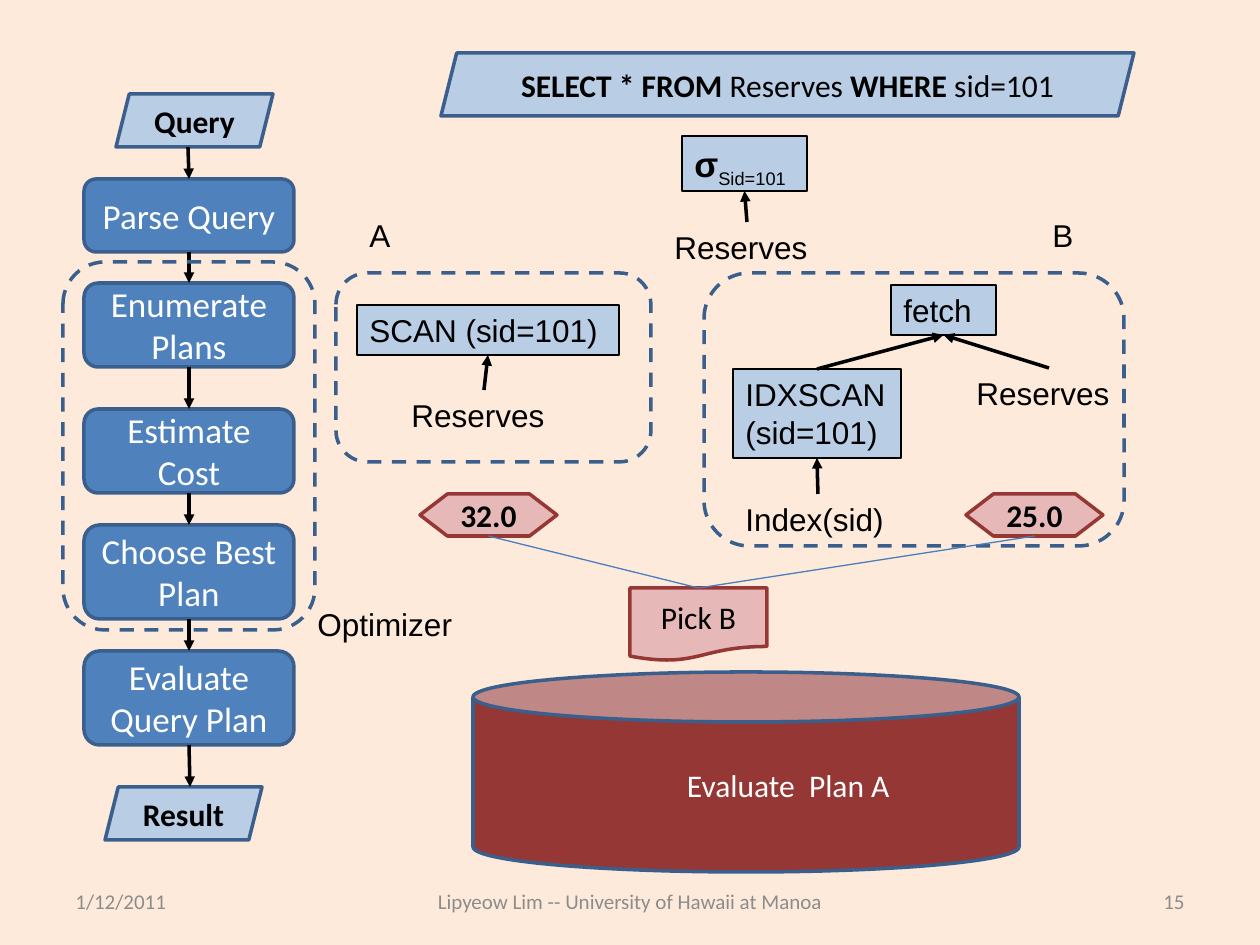
import lxml.etree
import pptx
import pptx.dml.color
import pptx.enum.dml
import pptx.enum.shapes
import pptx.enum.text
import pptx.oxml.ns
import pptx.util

SCALE = 914400 / 126
KIND = pptx.enum.shapes.MSO_SHAPE
ALIGN = pptx.enum.text.PP_ALIGN
ANCHOR = pptx.enum.text.MSO_ANCHOR
FIT = pptx.enum.text.MSO_AUTO_SIZE
TOP, BOTTOM = 0, 2
BLACK, WHITE, GRAY = "000000", "FFFFFF", "8C8C8C"
BLUE, NAVY, PALE = "4F81BD", "3A5F8C", "B9CDE5"
RED, PINK, THIN = "953735", "E6B9B8", "4B7EBC"


def px(*nums):
    return [pptx.util.Emu(round(n * SCALE)) for n in nums]


def paint(target, color):
    target.solid()
    target.fore_color.rgb = pptx.dml.color.RGBColor.from_string(color)


class Chart:
    """Draws the parts of a query plan chart on one slide."""

    def __init__(self, slide):
        self.slide = slide
        self.shapes = slide.shapes
        self.sans, self.body = "Arial", "Calibri"

    def words(self, shape, runs, font, size=18, color=BLACK, align=ALIGN.LEFT):
        para = shape.text_frame.paragraphs[0]
        para.alignment = align
        for text, bold, *base in runs:
            run = para.add_run()
            run.text = text
            run.font.name = font
            run.font.size = pptx.util.Pt(size)
            run.font.bold = bold
            paint(run.font.fill, color)
            if base:
                run.font.size = pptx.util.Pt(18)
                run._r.get_or_add_rPr().set("baseline", str(base[0]))

    def edge(self, shape, color, width):
        paint(shape.line.fill, color)
        shape.line.width = pptx.util.Pt(width)

    def node(self, kind, box, runs, fill=PALE, line=NAVY, size=18, color=BLACK):
        shape = self.shapes.add_shape(kind, *px(*box))
        shape.shadow.inherit = False
        paint(shape.fill, fill)
        self.edge(shape, line, 2)
        shape.text_frame.word_wrap = True
        shape.text_frame.vertical_anchor = ANCHOR.MIDDLE
        self.words(shape, runs, self.body, size, color, ALIGN.CENTER)
        return shape

    def frame(self, box):
        shape = self.shapes.add_shape(KIND.ROUNDED_RECTANGLE, *px(*box))
        shape.shadow.inherit = False
        shape.fill.background()
        self.edge(shape, NAVY, 2)
        shape.line.dash_style = pptx.enum.dml.MSO_LINE.DASH

    def label(self, box, runs, fill=None, size=18, wrap=True):
        shape = self.shapes.add_textbox(*px(*box))
        shape.text_frame.word_wrap = wrap
        shape.text_frame.auto_size = FIT.SHAPE_TO_FIT_TEXT
        if fill:
            paint(shape.fill, fill)
            self.edge(shape, BLACK, 0.75)
        self.words(shape, runs, self.sans, size)
        return shape

    def foot(self, left, width, text, align):
        shape = self.shapes.add_textbox(*px(left, 876, width, 50))
        shape.text_frame.word_wrap = True
        shape.text_frame.vertical_anchor = ANCHOR.MIDDLE
        self.words(shape, [(text, False)], self.body, 12, GRAY, align)

    def link(self, start, end, sites=(BOTTOM, TOP), color=BLACK, width=2, arrow=True):
        straight = pptx.enum.shapes.MSO_CONNECTOR.STRAIGHT
        line = self.shapes.add_connector(straight, 0, 0, 0, 0)
        if isinstance(start, tuple):
            line.begin_x, line.begin_y = px(*start)
        else:
            line.begin_connect(start, sites[0])
        if isinstance(end, tuple):
            line.end_x, line.end_y = px(*end)
        else:
            line.end_connect(end, sites[1])
        self.edge(line, color, width)
        qn = pptx.oxml.ns.qn
        if arrow:
            lxml.etree.SubElement(line.line._get_or_add_ln(), qn("a:tailEnd"), type="triangle")
        lxml.etree.SubElement(line._element.spPr, qn("a:effectLst"))


def draw_flow(chart):
    slant = KIND.PARALLELOGRAM
    chart.node(slant, (116, 94, 157, 53), [("Query", True)])
    chart.node(slant, (105, 787, 157, 53), [("Result", True)])
    last = (188, 147)
    for top, height, text in (
        (179, 73, "Parse Query"),
        (283, 84, "Enumerate Plans"),
        (409, 84, "Estimate Cost"),
        (525, 94, "Choose Best Plan"),
        (651, 94, "Evaluate Query Plan"),
    ):
        step = chart.node(KIND.ROUNDED_RECTANGLE, (84, top, 210, height),
                          [(text, False)], BLUE, size=20, color=WHITE)
        chart.link(last, step)
        last = step
    chart.link(last, (190, 787))
    chart.frame((63, 262, 252, 368))
    chart.label((305, 599, 161, 50), [("Optimizer", False)], wrap=False)


def draw_plans(chart):
    up = (TOP, BOTTOM)
    chart.node(KIND.PARALLELOGRAM, (441, 53, 693, 63), [
        ("SELECT * FROM ", True), ("Reserves", False),
        (" WHERE ", True), ("sid=101", False)])
    pick = chart.label((682, 136, 125, 55), [("σ", True), ("Sid=101", False, -25000)], PALE, 20)
    scan = chart.label((357, 305, 262, 50), [("SCAN (sid=101)", False)], PALE)
    index = chart.label((733, 369, 168, 89), [("IDXSCAN (sid=101)", False)], PALE)
    fetch = chart.label((891, 285, 105, 50), [("fetch", False)], PALE)
    for left, top, text, parent in (
        (662, 222, "Reserves", pick),
        (399, 390, "Reserves", scan),
        (964, 368, "Reserves", fetch),
        (733, 494, "Index(sid)", index),
    ):
        child = chart.label((left, top, 170, 50), [(text, False)])
        chart.link(child, parent, up)
    chart.link(index, fetch, up)
    chart.frame((336, 273, 315, 189))
    chart.frame((704, 273, 420, 273))
    chart.label((357, 210, 46, 50), [("A", False)], wrap=False)
    chart.label((1040, 210, 46, 50), [("B", False)])


def draw_choice(chart):
    best = chart.node(KIND.FLOWCHART_DOCUMENT, (630, 588, 137, 73),
                      [("Pick B", False)], PINK, RED)
    for left, cost in ((420, "32.0"), (966, "25.0")):
        price = chart.node(KIND.FLOWCHART_PREPARATION, (left, 494, 137, 42),
                           [(cost, True)], PINK, RED)
        chart.link(price, best, color=THIN, width=0.75, arrow=False)
    store = chart.node(KIND.CAN, (473, 672, 546, 200),
                       [("Evaluate  Plan A", False)], RED, color=WHITE)
    store.text_frame.margin_left = px(97)[0]


def main():
    deck = pptx.Presentation()
    deck.slide_width, deck.slide_height = px(1260, 945)
    slide = deck.slides.add_slide(deck.slide_layouts[6])
    paint(slide.background.fill, "FDEADA")
    chart = Chart(slide)
    chart.foot(63, 294, "1/12/2011", ALIGN.LEFT)
    chart.foot(378, 504, "Lipyeow Lim -- University of Hawaii at Manoa", ALIGN.CENTER)
    chart.foot(903, 294, "15", ALIGN.RIGHT)
    draw_flow(chart)
    draw_plans(chart)
    draw_choice(chart)
    deck.save("out.pptx")


if __name__ == "__main__":
    main()
